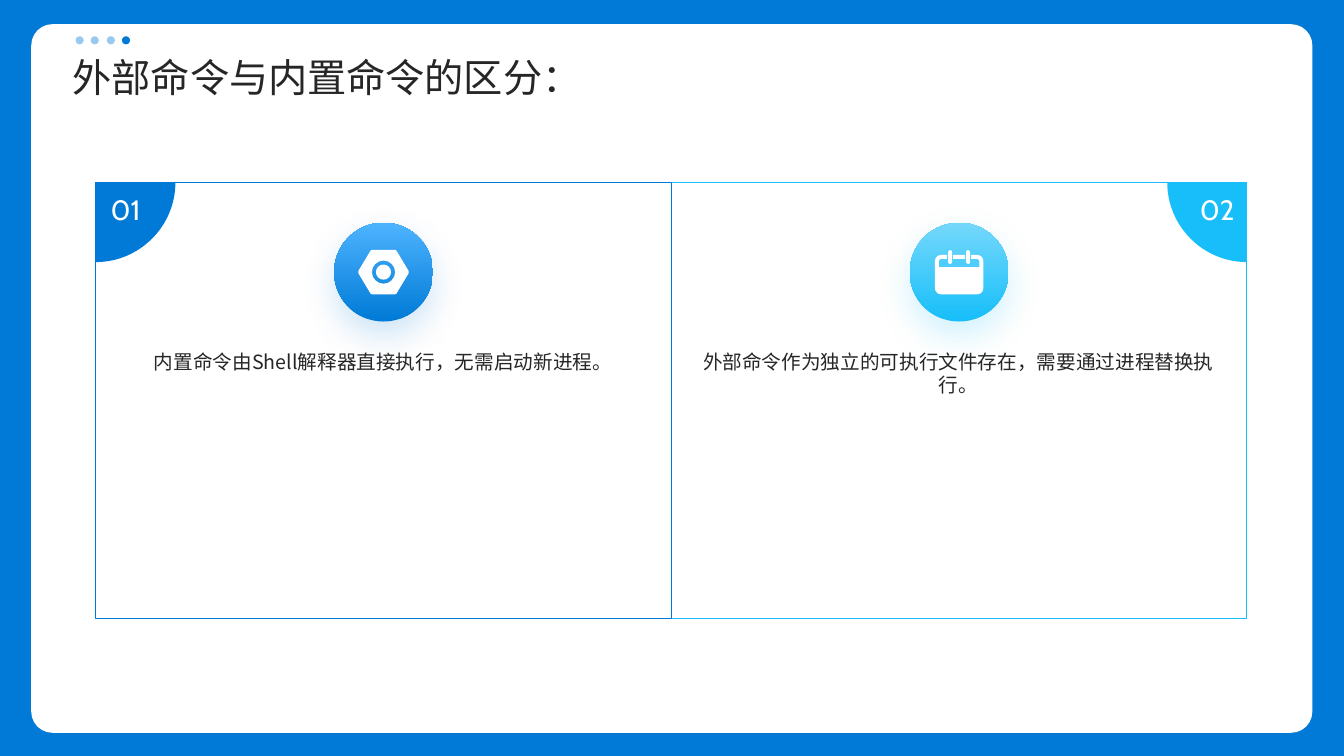
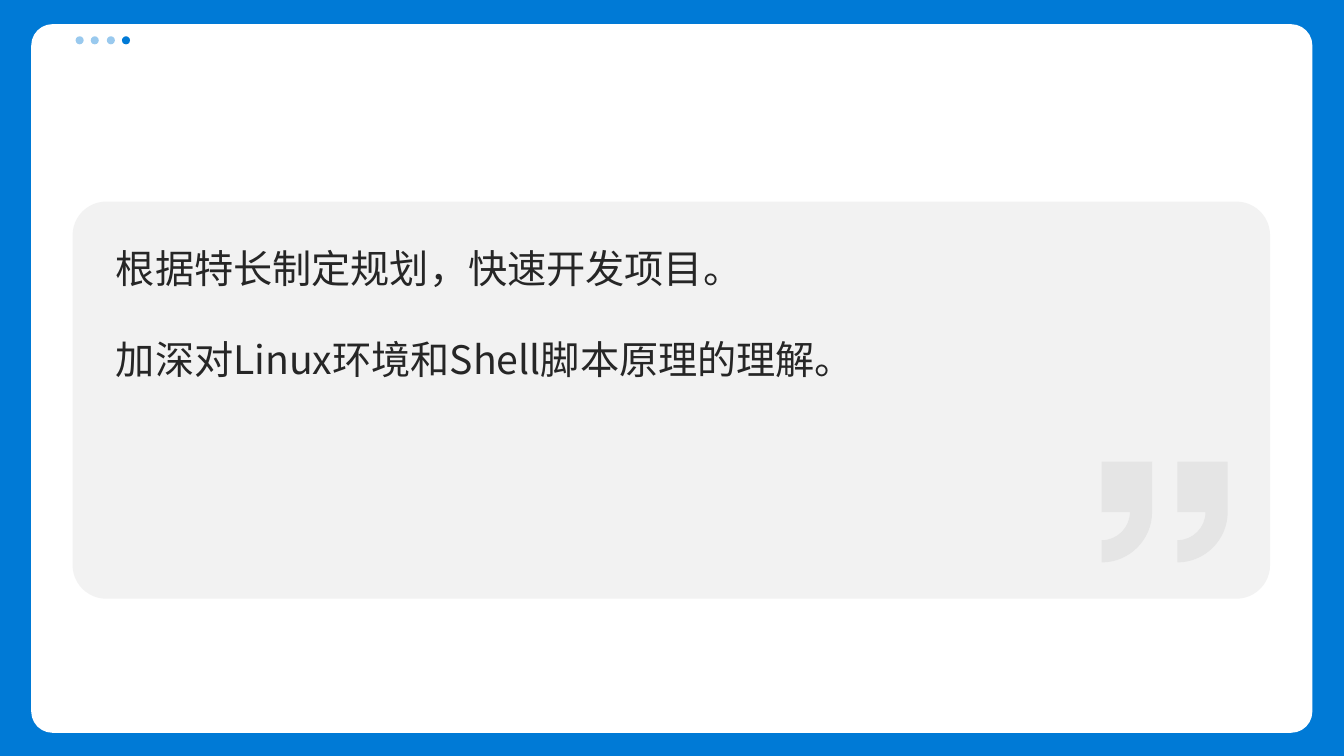
from lxml import etree
from pptx import Presentation
from pptx.dml.color import RGBColor
from pptx.enum.shapes import MSO_SHAPE as Preset
from pptx.enum.text import MSO_ANCHOR as Anchor, PP_ALIGN as Align
from pptx.oxml.ns import qn
from pptx.util import Pt

PX = 9144
WIDTH, HEIGHT = 1333.33, 750
BLUE, SKY, WHITE = "007AD6", "17BEF9", "FFFFFF"
INK, PALE, QUOTE = "262626", "F2F2F2", "D9D9D9"
BODY_FONT, NUMBER_FONT = "Noto Sans CJK SC", "Cabin"


def px(*lengths):
    """Turn px lengths into EMU."""
    return [round(length * PX) for length in lengths]


def rgb(code):
    """Turn a hex string into a colour."""
    return RGBColor.from_string(code)


def child(parent, tag, **attributes):
    """Append a DrawingML element to its parent."""
    attributes = {key: str(value) for key, value in attributes.items()}
    return etree.SubElement(parent, qn(tag), attributes)


def paint(shape, color, alpha=100, line=None):
    """Give a shape a solid fill, an optional outline and no shadow."""
    shape.shadow.inherit = False
    shape.fill.solid()
    shape.fill.fore_color.rgb = rgb(color)
    if alpha < 100:
        code = shape.element.spPr.find(qn("a:solidFill"))[0]
        child(code, "a:alpha", val=alpha * 1000)
    if line:
        shape.line.color.rgb = rgb(line)
        shape.line.width = Pt(0.75)
    else:
        shape.line.fill.background()


def preset(shapes, kind, box, color, radius=None, **style):
    """Draw a painted preset shape in a box."""
    shape = shapes.add_shape(kind, *px(*box))
    if radius is not None:
        shape.adjustments[0] = radius
    paint(shape, color, **style)
    return shape


def bend(start, corner, end):
    """List the start, two controls and end of a curve that rounds a corner."""
    controls = [tuple(p + (c - p) * 0.55 for p, c in zip(point, corner))
                for point in (start, end)]
    return [start, *controls, end]


def circle(radius):
    """List the four rounded corners of a circle around the origin."""
    r = radius
    ends = [(r, 0), (0, r), (-r, 0), (0, -r), (r, 0)]
    corners = [(r, r), (-r, r), (-r, -r), (r, -r)]
    return list(zip(ends, corners, ends[1:]))


def flatten(contour):
    """Turn points and rounded corners into points and the places of curves."""
    points, curves = [], []
    for part in contour:
        rounded = len(part) == 3
        steps = bend(*part) if rounded else [part]
        if points and points[-1] == steps[0]:
            steps = steps[1:]
        points += steps
        if rounded:
            curves.append(len(points) - 3)
    return points, curves


def outline(shapes, left, top, contours, color, **style):
    """Draw closed contours whose points are relative to a corner."""
    builder, first_controls, count = None, [], 0
    for contour in contours:
        points, curves = flatten(contour)
        placed = [px(left + x, top + y) for x, y in points]
        if builder is None:
            builder = shapes.build_freeform(*placed[0], scale=1.0)
        else:
            builder.move_to(*placed[0])
        builder.add_line_segments(placed[1:], close=True)
        first_controls += [count + place for place in curves]
        count += len(points)
    shape = builder.convert_to_shape()
    steps = [step for step in shape.element.iter(qn("a:moveTo"), qn("a:lnTo"))]
    for place in first_controls:
        curve = etree.Element(qn("a:cubicBezTo"))
        steps[place].addprevious(curve)
        for step in steps[place:place + 3]:
            curve.append(step[0])
            step.getparent().remove(step)
    paint(shape, color, **style)


def write(holder, words, size, color=INK, font=BODY_FONT,
          align=Align.LEFT, anchor=Anchor.TOP):
    """Fill a text holder with one styled paragraph."""
    frame = holder.text_frame
    frame.word_wrap = True
    frame.vertical_anchor = anchor
    frame.margin_left = frame.margin_top = frame.margin_right = frame.margin_bottom = 0
    frame.text = words
    paragraph = frame.paragraphs[0]
    paragraph.alignment = align
    paragraph.space_before = Pt(0)
    paragraph.font.size = Pt(size)
    paragraph.font.name = font
    paragraph.font.color.rgb = rgb(color)
    child(paragraph.font._element, "a:ea", typeface=font)


def text(shapes, box, words, size, **style):
    """Add a text box."""
    write(shapes.add_textbox(*px(*box)), words, size, **style)


def page_frame(shapes):
    """Draw the blue border and the white page."""
    preset(shapes, Preset.RECTANGLE, (0, 0, WIDTH, HEIGHT), BLUE)
    preset(shapes, Preset.ROUNDED_RECTANGLE, (31, 24, 1271, 703), WHITE, 0.03)


def page_dots(shapes):
    """Draw the row of dots, with the last one strong."""
    dots = shapes.add_group_shape().shapes
    for left, alpha in ((121, 100), (106, 40), (90, 40), (75, 40)):
        preset(dots, Preset.OVAL, (left, 36, 8, 8), BLUE, alpha=alpha)


def nut_icon(shapes, x, y):
    """Draw a hexagonal nut centred on a point."""
    half = [((25, -1), (26, 0), (25, 1)), ((13, 21), (13, 22), (11, 22)),
            ((-11, 22), (-13, 22), (-13, 21))]
    other = [tuple((-u, -v) for u, v in corner) for corner in half]
    outline(shapes, x, y, [half + other, circle(11.5), circle(7.5)], WHITE)


def calendar_icon(shapes, x, y):
    """Draw a calendar centred on a point."""
    body = [(-12, -17), (-12, -13), ((-18, -13), (-20, -13), (-20, -11)), (-20, -5),
            (20, -5), ((20, -11), (20, -13), (18, -13)), (12, -13), (12, -17),
            ((18, -17), (24, -17), (24, -11)), ((24, 16), (24, 22), (18, 22)),
            ((-18, 22), (-24, 22), (-24, 16)), ((-24, -11), (-24, -17), (-18, -17))]
    bar = [(-6, -17), (6, -17), (6, -13), (-6, -13)]
    pins = [[((u - 2, -20), (u - 2, -22), (u, -22)), ((u, -22), (u + 2, -22), (u + 2, -20)),
             ((u + 2, -10), (u + 2, -8), (u, -8)), ((u, -8), (u - 2, -8), (u - 2, -10))]
            for u in (9, -9)]
    outline(shapes, x, y, [bar, body, *pins], WHITE)


def badge(shapes, box, color, light):
    """Draw a glowing disc with a vertical gradient."""
    disc = preset(shapes, Preset.OVAL, box, color)
    disc.fill.gradient()
    disc.fill.gradient_angle = 90
    for stop, code, position in zip(disc.fill.gradient_stops, (color, light), (0, 1)):
        stop.color.rgb = rgb(code)
        stop.position = position
    effects = disc.element.spPr.find(qn("a:effectLst"))
    glow = child(effects, "a:outerShdw", blurRad=Pt(25), dist=Pt(10),
                 dir=90 * 60000, algn="t", rotWithShape=0)
    child(child(glow, "a:srgbClr", val=color), "a:alpha", val=20000)


def card(shapes, box, number, sentence, color, light, icon, on_right):
    """Draw a numbered card with a corner fan, a badge and a sentence."""
    left, top, width, height = box
    middle = left + width / 2
    preset(shapes, Preset.RECTANGLE, box, WHITE, line=color)
    corner, reach, number_left = left, 79, left
    if on_right:
        corner, reach, number_left = left + width, -79, left + width - 59
    fan = [((0, 79), (reach, 79), (reach, 0)), (0, 0)]
    outline(shapes, corner, top, [fan], color)
    text(shapes, (number_left, top + 10, 59, 43), number, 20, color=WHITE,
         font=NUMBER_FONT, align=Align.CENTER)
    badge(shapes, (middle - 49, top + 40, 98, 98), color, light)
    icon(shapes, middle, top + 89)
    text(shapes, (left + 29, top + 166, 512, 240), sentence, 14, align=Align.CENTER)


def comparison_slide(deck, heading, cards):
    """Build a titled slide with two cards side by side."""
    slide = deck.slides.add_slide(deck.slide_layouts[5])
    shapes, title = slide.shapes, slide.shapes.title
    page_frame(shapes)
    for column in (1, 0):
        card(shapes, (95 + 571 * column, 181, 571, 433), *cards[column],
             on_right=column == 1)
    title.left, title.top, title.width, title.height = px(72, 51, 1188, 51)
    write(title, heading, 28, anchor=Anchor.MIDDLE)
    title.element.getparent().append(title.element)
    page_dots(shapes)


def quote_panel(shapes, box, sentences):
    """Draw a grey panel with large sentences and closing quotation marks."""
    left, top, width, height = box
    preset(shapes, Preset.ROUNDED_RECTANGLE, box, PALE, 0.085)
    mark = [(0, 0), (0, 50), ((28, 50), (28, 78), (0, 78)),
            ((0, 100), (50, 100), (50, 50)), (50, 0)]
    marks = shapes.add_group_shape().shapes
    for offset in (167, 92):
        outline(marks, left + width - offset, top + 258, [mark], QUOTE, alpha=50)
    for row, sentence in enumerate(sentences):
        text(shapes, (left + 43, top + 40 + 90 * row, width, 51), sentence, 28,
             anchor=Anchor.MIDDLE)


def quote_slide(deck, sentences):
    """Build a slide with one quotation panel."""
    shapes = deck.slides.add_slide(deck.slide_layouts[6]).shapes
    page_frame(shapes)
    quote_panel(shapes, (72, 200, 1188, 394), sentences)
    page_dots(shapes)


def main():
    """Build and save the deck."""
    deck = Presentation()
    deck.slide_width, deck.slide_height = px(WIDTH, HEIGHT)
    comparison_slide(deck, "外部命令与内置命令的区分：", [
        ("01", "内置命令由Shell解释器直接执行，无需启动新进程。",
         BLUE, "4DB3FF", nut_icon),
        ("02", "外部命令作为独立的可执行文件存在，需要通过进程替换执行。",
         SKY, "74D8FB", calendar_icon),
    ])
    quote_slide(deck, ["根据特长制定规划，快速开发项目。",
                       "加深对Linux环境和Shell脚本原理的理解。"])
    deck.save("out.pptx")


if __name__ == "__main__":
    main()
